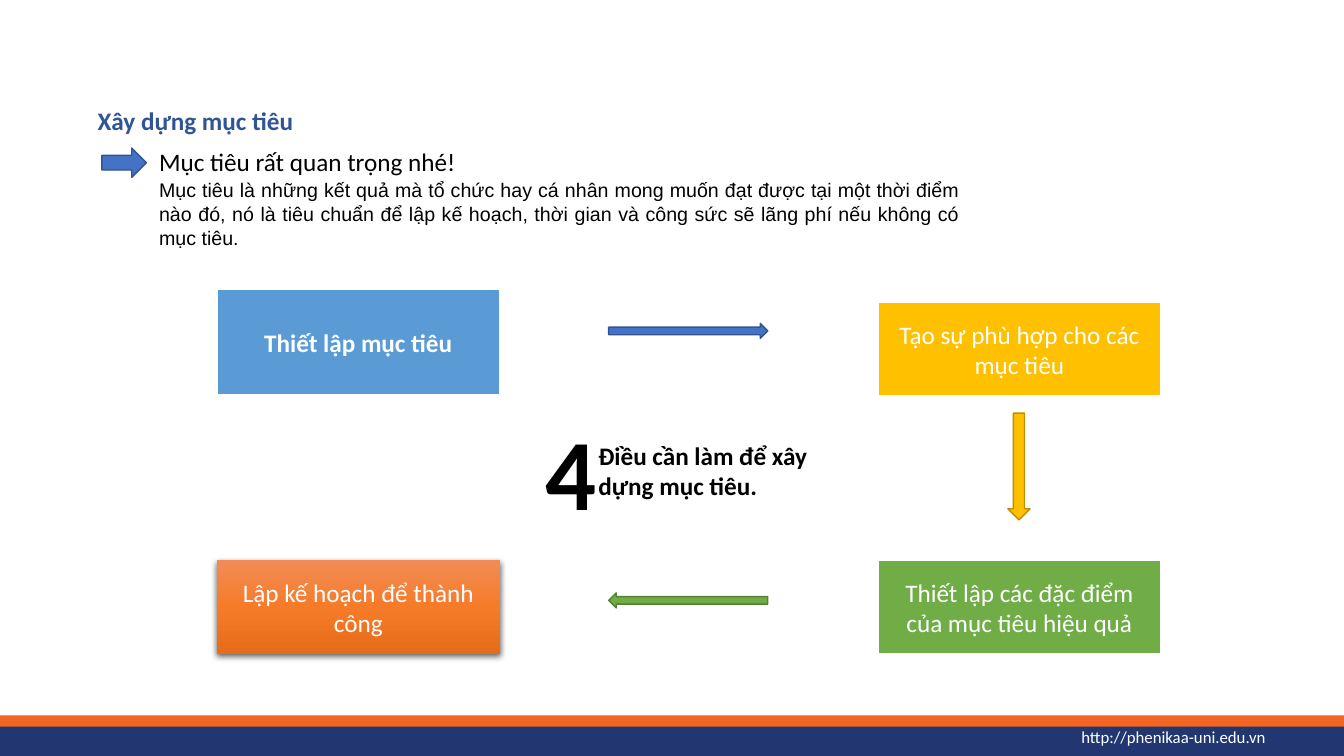
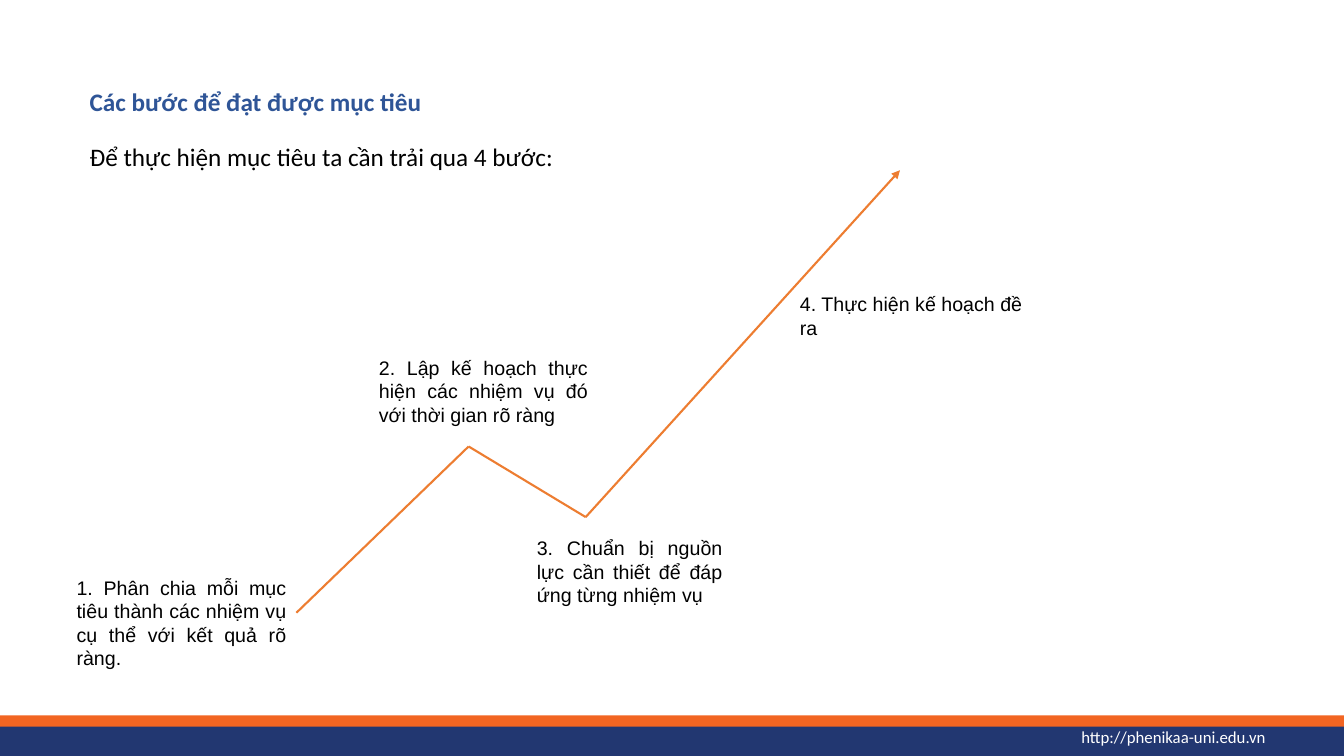
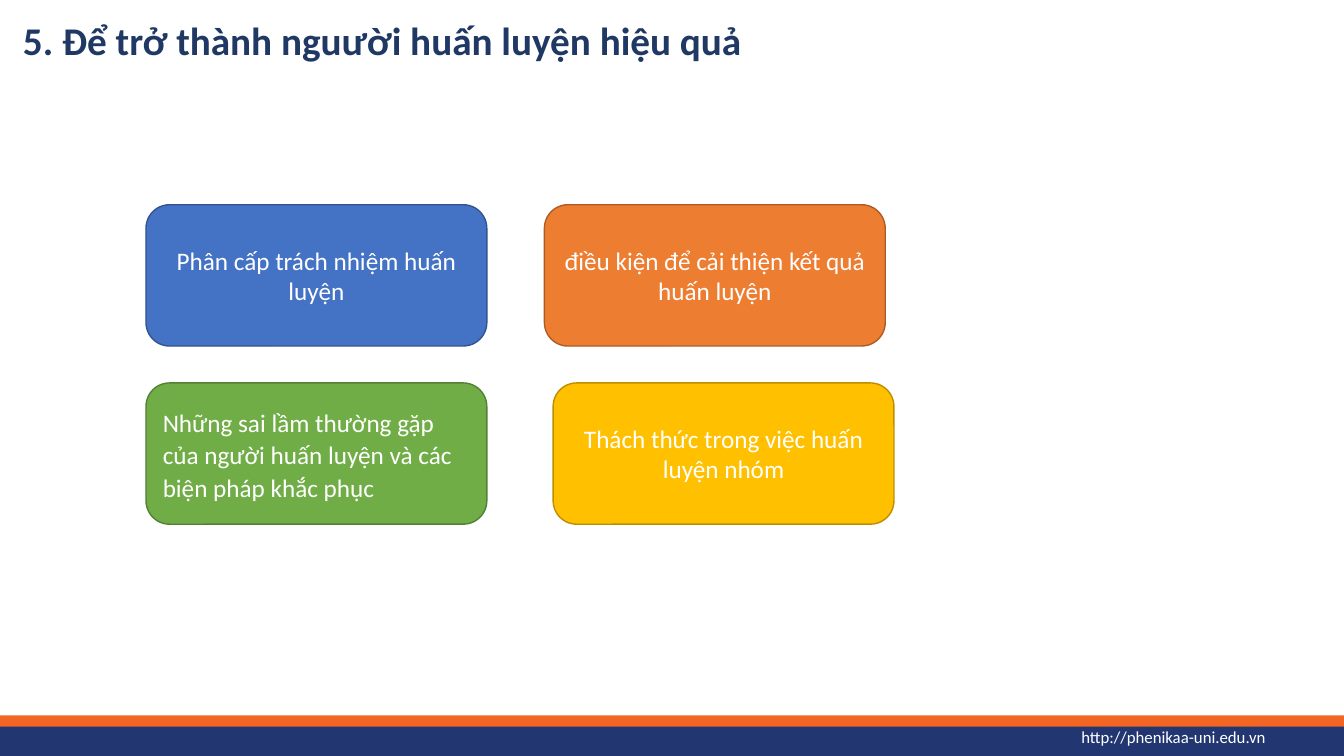
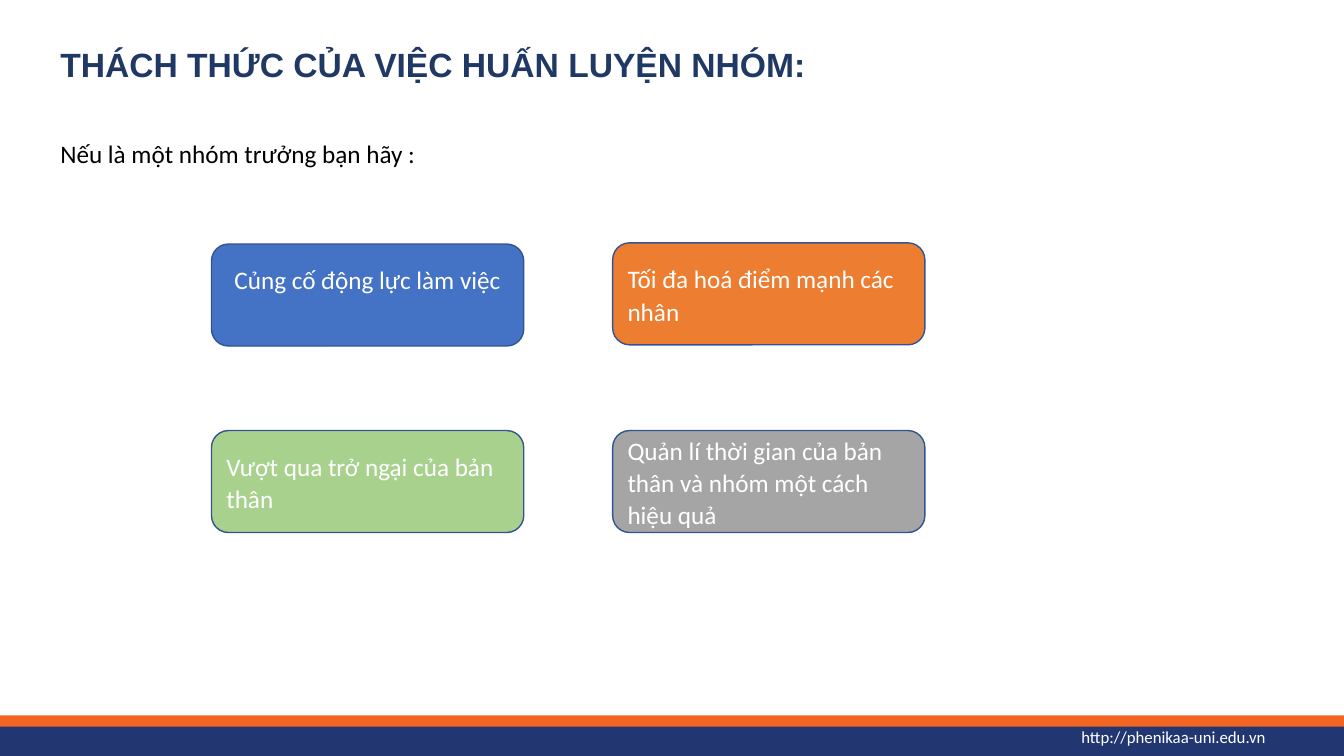
"""Build four slides on setting goals and coaching a team."""
from copy import deepcopy

from lxml import etree
from pptx import Presentation
from pptx import util as u
from pptx.dml.color import RGBColor
from pptx.enum import shapes, text as t
from pptx.oxml.ns import qn

WHITE = RGBColor(0xFF, 0xFF, 0xFF)
BLACK = RGBColor(0x00, 0x00, 0x00)
BAND_ORANGE = RGBColor(0xF2, 0x65, 0x22)
BAND_NAVY = RGBColor(0x22, 0x37, 0x71)
TITLE_NAVY = RGBColor(0x20, 0x38, 0x64)
HEADING_BLUE = RGBColor(0x2F, 0x55, 0x97)
SKY = RGBColor(0x5B, 0x9B, 0xD5)
BLUE = RGBColor(0x44, 0x72, 0xC4)
BLUE_EDGE = RGBColor(0x32, 0x54, 0x91)
ORANGE = RGBColor(0xED, 0x7D, 0x31)
ORANGE_EDGE = RGBColor(0xAF, 0x5C, 0x24)
GOLD = RGBColor(0xFF, 0xC0, 0x00)
GOLD_EDGE = RGBColor(0xBD, 0x8E, 0x00)
GREEN = RGBColor(0x70, 0xAD, 0x47)
GREEN_EDGE = RGBColor(0x53, 0x80, 0x35)
PALE_GREEN = RGBColor(0xA9, 0xD1, 0x8E)
GRAY = RGBColor(0xA5, 0xA5, 0xA5)
PLAN_STOPS = [(0, RGBColor(0xF1, 0x8C, 0x57)), (0.5, RGBColor(0xF6, 0x7B, 0x28)),
              (1, RGBColor(0xE5, 0x6C, 0x19))]

KIND = shapes.MSO_SHAPE
LEFT, CENTER, JUSTIFY = t.PP_ALIGN.LEFT, t.PP_ALIGN.CENTER, t.PP_ALIGN.JUSTIFY
TOP, MIDDLE = t.MSO_ANCHOR.TOP, t.MSO_ANCHOR.MIDDLE


def add_shape(page, kind, place, fill, edge=None, weight=1):
    """Draw a preset shape at a place given in centimetres."""
    shape = page.shapes.add_shape(kind, *map(u.Cm, place))
    shape.shadow.inherit = False
    shape.fill.solid()
    shape.fill.fore_color.rgb = fill
    if edge is None:
        shape.line.fill.background()
    else:
        shape.line.color.rgb = edge
        shape.line.width = u.Pt(weight)
    return shape


def write(target, words, place=None, size=18, font="Calibri", color=BLACK, bold=False,
          align=LEFT, anchor=TOP, loose=False, margin=None):
    """Write words in a shape, or in a new text box when a place is given."""
    box = target.shapes.add_textbox(*map(u.Cm, place)) if place else target
    frame = box.text_frame
    frame.word_wrap = True
    frame.vertical_anchor = anchor
    if margin is not None:
        frame.margin_left = frame.margin_right = u.Cm(margin)
        frame.margin_top = frame.margin_bottom = u.Cm(margin)
    para = frame.paragraphs[0]
    para.alignment = align
    if loose:
        para.line_spacing = 1.07
        para.space_after = u.Pt(8)
    span = para.add_run()
    span.text = words
    span.font.name = font
    span.font.size = u.Pt(size)
    span.font.bold = bold
    span.font.color.rgb = color
    return box


deck = Presentation()
deck.slide_width, deck.slide_height = u.Cm(33.87), u.Cm(19.05)
pages = [deck.slides.add_slide(deck.slide_layouts[6]) for _ in range(4)]
for page in pages:
    add_shape(page, KIND.RECTANGLE, (0, 18.03, 33.87, 0.3), BAND_ORANGE)
    add_shape(page, KIND.RECTANGLE, (0, 18.31, 33.87, 0.74), BAND_NAVY)
    write(page, "http://phenikaa-uni.edu.vn", (27.25, 18.31, 6.25, 0.51), size=12,
          color=WHITE, anchor=MIDDLE, margin=0)
goals, steps, coach, challenges = pages

write(goals, "Xây dựng mục tiêu", (2.21, 2.54, 9.63, 1.02), color=HEADING_BLUE, bold=True)
write(goals, "Mục tiêu rất quan trọng nhé!", (3.76, 3.56, 8.05, 1.8))
write(goals, "4", (13.49, 10.19, 8.66, 3.33), size=72, bold=True)
write(goals, "Điều cần làm để xây dựng mục tiêu.", (14.83, 10.97, 6.5, 1.8), bold=True)
write(goals, "Mục tiêu là những kết quả mà tổ chức hay cá nhân mong muốn đạt được tại một "
      "thời điểm nào đó, nó là tiêu chuẩn để lập kế hoạch, thời gian và công sức sẽ lãng "
      "phí nếu không có mục tiêu.", (3.76, 4.37, 20.68, 2.06), size=14, font="Arial",
      align=JUSTIFY)

for kind, place, fill, edge in [
    (KIND.RIGHT_ARROW, (2.57, 3.73, 1.12, 0.74), BLUE, BLUE_EDGE),
    (KIND.RIGHT_ARROW, (15.34, 8.15, 4.01, 0.38), BLUE, BLUE_EDGE),
    (KIND.DOWN_ARROW, (25.4, 10.41, 0.56, 2.69), GOLD, GOLD_EDGE),
    (KIND.LEFT_ARROW, (15.34, 14.94, 4.01, 0.38), GREEN, GREEN_EDGE),
]:
    add_shape(goals, kind, place, fill, edge)

for words, left, top, height, fill, edge, bold in [
    ("Thiết lập mục tiêu", 5.46, 7.29, 2.67, SKY, WHITE, True),
    ("Tạo sự phù hợp cho các mục tiêu", 22.12, 7.62, 2.36, GOLD, WHITE, False),
    ("Thiết lập các đặc điểm của mục tiêu hiệu quả", 22.12, 14.12, 2.36, GREEN, WHITE, False),
    ("Lập kế hoạch để thành công", 5.46, 14.12, 2.36, ORANGE, None, False),
]:
    plan = add_shape(goals, KIND.RECTANGLE, (left, top, 7.14, height), fill, edge, 1.5)
    write(plan, words, color=WHITE, bold=bold, align=CENTER, anchor=MIDDLE)

plan.fill.gradient()
plan.fill.gradient_angle = 270
properties = plan._element.spPr
stop_list = properties.find(qn("a:gradFill")).find(qn("a:gsLst"))
stop_list.insert(1, deepcopy(stop_list[0]))
for stop, (position, color) in zip(plan.fill.gradient_stops, PLAN_STOPS):
    stop.position = position
    stop.color.rgb = color
shadow = etree.SubElement(properties.find(qn("a:effectLst")), qn("a:outerShdw"),
                          blurRad="57150", dist="19050", dir="5400000", algn="ctr",
                          rotWithShape="0")
shade = etree.SubElement(shadow, qn("a:srgbClr"), val="000000")
etree.SubElement(shade, qn("a:alpha"), val="63000")

write(steps, "Các bước để đạt được mục tiêu", (2.01, 2.06, 10.95, 1.02),
      color=HEADING_BLUE, bold=True)
write(steps, "Để thực hiện mục tiêu ta cần trải qua 4 bước:", (2.01, 3.43, 13.06, 1.02))
for words, place, align in [
    ("1. Phân chia mỗi mục tiêu thành các nhiệm vụ cụ thể với kết quả rõ ràng.",
     (1.68, 14.38, 5.79, 2.64), JUSTIFY),
    ("2. Lập kế hoạch thực hiện các nhiệm vụ đó với thời gian rõ ràng",
     (9.3, 8.84, 5.77, 2.06), JUSTIFY),
    ("3. Chuẩn bị nguồn lực cần thiết để đáp ứng từng nhiệm vụ",
     (13.28, 13.39, 5.18, 2.06), JUSTIFY),
    ("4. Thực hiện kế hoạch đề ra", (19.91, 7.24, 6.38, 1.45), LEFT),
]:
    write(steps, words, place, size=14, font="Arial", align=align)

route = [(7.47, 15.44), (11.81, 11.25), (14.76, 13.03), (22.68, 4.29)]
for start, end in zip(route, route[1:]):
    leg = steps.shapes.add_connector(shapes.MSO_CONNECTOR.STRAIGHT,
                                     *map(u.Cm, start + end))
    leg.line.color.rgb = ORANGE
    leg.line.width = u.Pt(1.5)
    etree.SubElement(leg._element.spPr, qn("a:effectLst"))
etree.SubElement(leg._element.spPr.find(qn("a:ln")), qn("a:tailEnd"), type="triangle")

write(coach, "5. Để trở thành nguười huấn luyện hiệu quả", (0.33, 0.28, 22.83, 2.64),
      size=28, color=TITLE_NAVY, bold=True)
write(challenges, "THÁCH THỨC CỦA VIỆC HUẤN LUYỆN NHÓM:", (1.27, 0.99, 20.04, 2.31),
      size=24, font="Arial", color=TITLE_NAVY, bold=True)
write(challenges, "Nếu là một nhóm trưởng bạn hãy :", (1.27, 3.3, 16.94, 1.04), loose=True)

COACH_SIZE = (8.59, 3.56)
CHALLENGE_SIZE = (7.87, 2.57)
for page, words, corner, size, fill, edge, align in [
    (coach, "Phân cấp trách nhiệm huấn luyện",
     (3.68, 5.16), COACH_SIZE, BLUE, BLUE_EDGE, CENTER),
    (coach, "điều kiện để cải thiện kết quả huấn luyện",
     (13.72, 5.16), COACH_SIZE, ORANGE, ORANGE_EDGE, CENTER),
    (coach, "Những sai lầm thường gặp của người huấn luyện và các biện pháp khắc phục",
     (3.68, 9.65), COACH_SIZE, GREEN, GREEN_EDGE, LEFT),
    (coach, "Thách thức trong việc huấn luyện nhóm",
     (13.94, 9.65), COACH_SIZE, GOLD, GOLD_EDGE, CENTER),
    (challenges, "Tối đa hoá điểm mạnh các nhân",
     (15.44, 6.12), CHALLENGE_SIZE, ORANGE, BLUE_EDGE, LEFT),
    (challenges, "Vượt qua trở ngại của bản thân",
     (5.33, 10.85), CHALLENGE_SIZE, PALE_GREEN, BLUE_EDGE, LEFT),
    (challenges, "Quản lí thời gian của bản thân và nhóm một cách hiệu quả",
     (15.44, 10.85), CHALLENGE_SIZE, GRAY, BLUE_EDGE, LEFT),
    (challenges, "Củng cố động lực làm việc",
     (5.33, 6.15), CHALLENGE_SIZE, BLUE, BLUE_EDGE, CENTER),
]:
    card = add_shape(page, KIND.ROUNDED_RECTANGLE, corner + size, fill, edge)
    write(card, words, color=WHITE, align=align, anchor=MIDDLE, loose=align == LEFT)
card.text_frame.margin_bottom = u.Cm(0.89)

deck.save("out.pptx")
